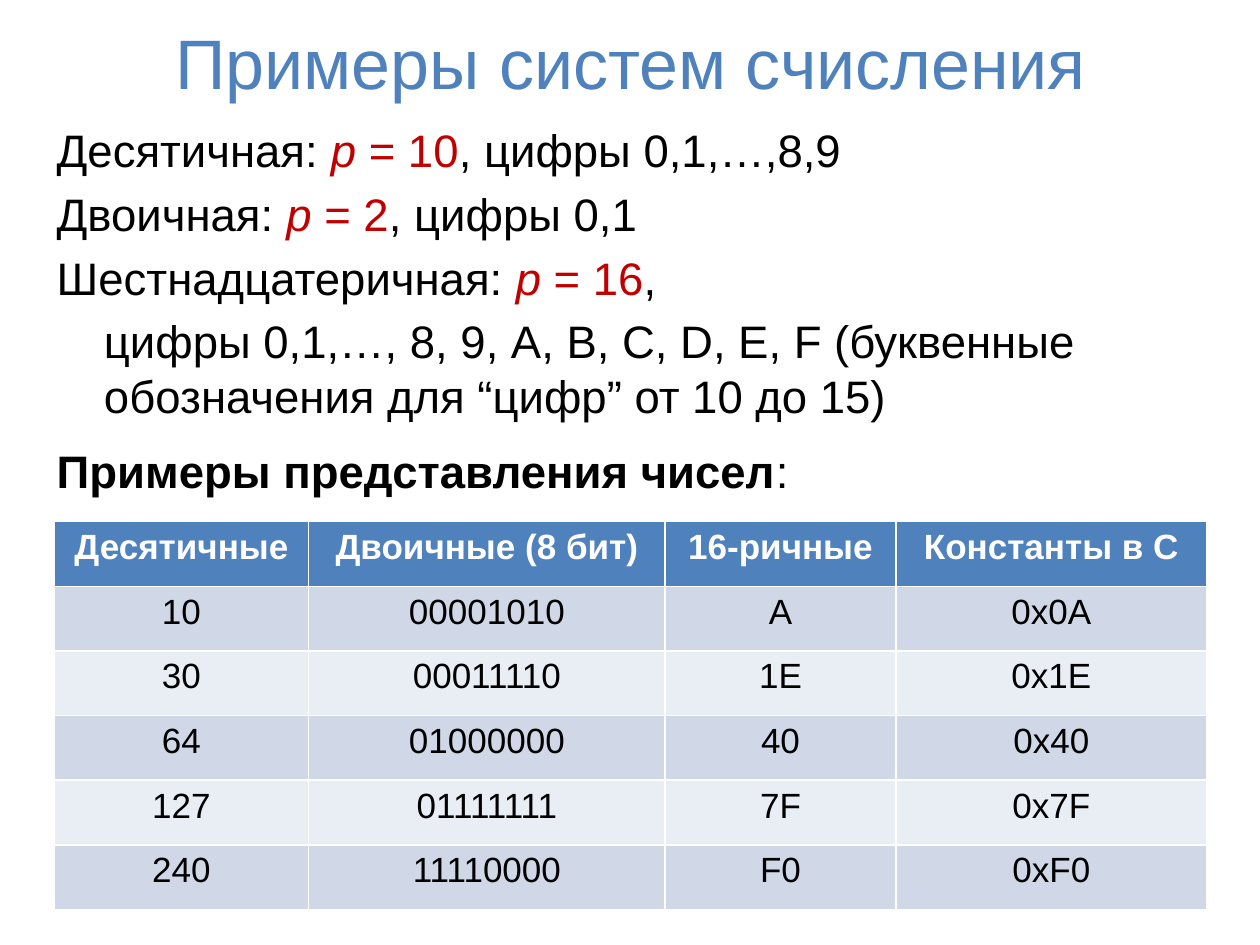
from lxml import etree
from pptx import Presentation
from pptx.dml.color import RGBColor
from pptx.enum.text import MSO_AUTO_SIZE, PP_ALIGN
from pptx.oxml.ns import qn
from pptx.util import Inches, Pt

CENTER = PP_ALIGN.CENTER
NO_AUTOFIT = MSO_AUTO_SIZE.NONE

BLUE = RGBColor(0x4F, 0x81, 0xBD)
RED = RGBColor(0xC0, 0x00, 0x00)
BLACK = RGBColor(0x00, 0x00, 0x00)
WHITE = RGBColor(0xFF, 0xFF, 0xFF)
BANDS = (RGBColor(0xD0, 0xD8, 0xE8), RGBColor(0xE9, 0xED, 0xF4))

SYSTEMS = [
    ("Десятичная: ", "10", ", цифры 0,1,…,8,9"),
    ("Двоичная: ", "2", ", цифры 0,1"),
    ("Шестнадцатеричная: ", "16", ","),
]
HEX_DIGITS = ("цифры 0,1,…, 8, 9, A, B, C, D, E, F (буквенные "
              "обозначения для “цифр” от 10 до 15)")
COLUMN_WIDTHS = [2.02, 2.83, 1.83, 2.47]
ROWS = [
    ["Десятичные", "Двоичные (8 бит)", "16-ричные", "Константы в С"],
    ["10", "00001010", "A", "0x0A"],
    ["30", "00011110", "1E", "0x1E"],
    ["64", "01000000", "40", "0x40"],
    ["127", "01111111", "7F", "0x7F"],
    ["240", "11110000", "F0", "0xF0"],
]


class SlideBuilder:
    """Holds the text style and the current slide and adds elements to it."""

    def __init__(self, page, font="Arial"):
        self.page = page
        self.font = font

    def span(self, para, text, size, color=BLACK, bold=False, italic=False):
        run = para.add_run()
        run.text = text
        run.font.name = self.font
        run.font.size = Pt(size)
        run.font.color.rgb = color
        run.font.bold = bold
        run.font.italic = italic

    def place(self, box, left, top, width, height):
        box.left, box.top = Inches(left), Inches(top)
        box.width, box.height = Inches(width), Inches(height)
        box.text_frame.auto_size = NO_AUTOFIT

    def title(self, text, *bounds):
        box = self.page.shapes.title
        self.place(box, *bounds)
        para = box.text_frame.paragraphs[0]
        para.alignment = CENTER
        self.span(para, text, 40, BLUE)

    def body(self, paragraphs, *bounds):
        box = self.page.placeholders[1]
        self.place(box, *bounds)
        frame = box.text_frame
        for index, (spans, hanging, space) in enumerate(paragraphs):
            para = frame.add_paragraph() if index else frame.paragraphs[0]
            if space:
                para.space_before = Pt(space)
            properties = para._p.get_or_add_pPr()
            if not hanging:
                properties.set("indent", "0")
            etree.SubElement(properties, qn("a:buNone"))
            for text, style in spans:
                self.span(para, text, 26, **style)

    def table(self, rows, widths, left, top, height):
        frame = self.page.shapes.add_table(
            len(rows), len(widths), Inches(left), Inches(top),
            Inches(sum(widths)), Inches(height))
        table = frame.table
        for column, width in zip(table.columns, widths):
            column.width = Inches(width)
        for row_index, row in enumerate(rows):
            header = row_index == 0
            fill = BLUE if header else BANDS[(row_index - 1) % 2]
            for column_index, text in enumerate(row):
                cell = table.cell(row_index, column_index)
                cell.fill.solid()
                cell.fill.fore_color.rgb = fill
                para = cell.text_frame.paragraphs[0]
                para.alignment = CENTER
                self.span(para, text, 20, WHITE if header else BLACK, bold=header)


def main():
    deck = Presentation()
    deck.slide_width, deck.slide_height = Inches(10), Inches(7.5)
    builder = SlideBuilder(deck.slides.add_slide(deck.slide_layouts[1]))

    builder.title("Примеры систем счисления", 0.2, 0.13, 9.61, 0.71)
    paragraphs = [
        ([(name, {}), ("p", {"color": RED, "italic": True}),
          (f" = {base}", {"color": RED}), (digits, {})], True, None)
        for name, base, digits in SYSTEMS
    ]
    paragraphs.append(([(HEX_DIGITS, {})], False, None))
    paragraphs.append(
        ([("Примеры представления чисел", {"bold": True}), (":", {})], True, 12))
    builder.body(paragraphs, 0.35, 0.92, 9.31, 6.44)
    builder.table(ROWS, COLUMN_WIDTHS, 0.43, 4.14, 3.08)

    deck.save("out.pptx")


if __name__ == "__main__":
    main()
